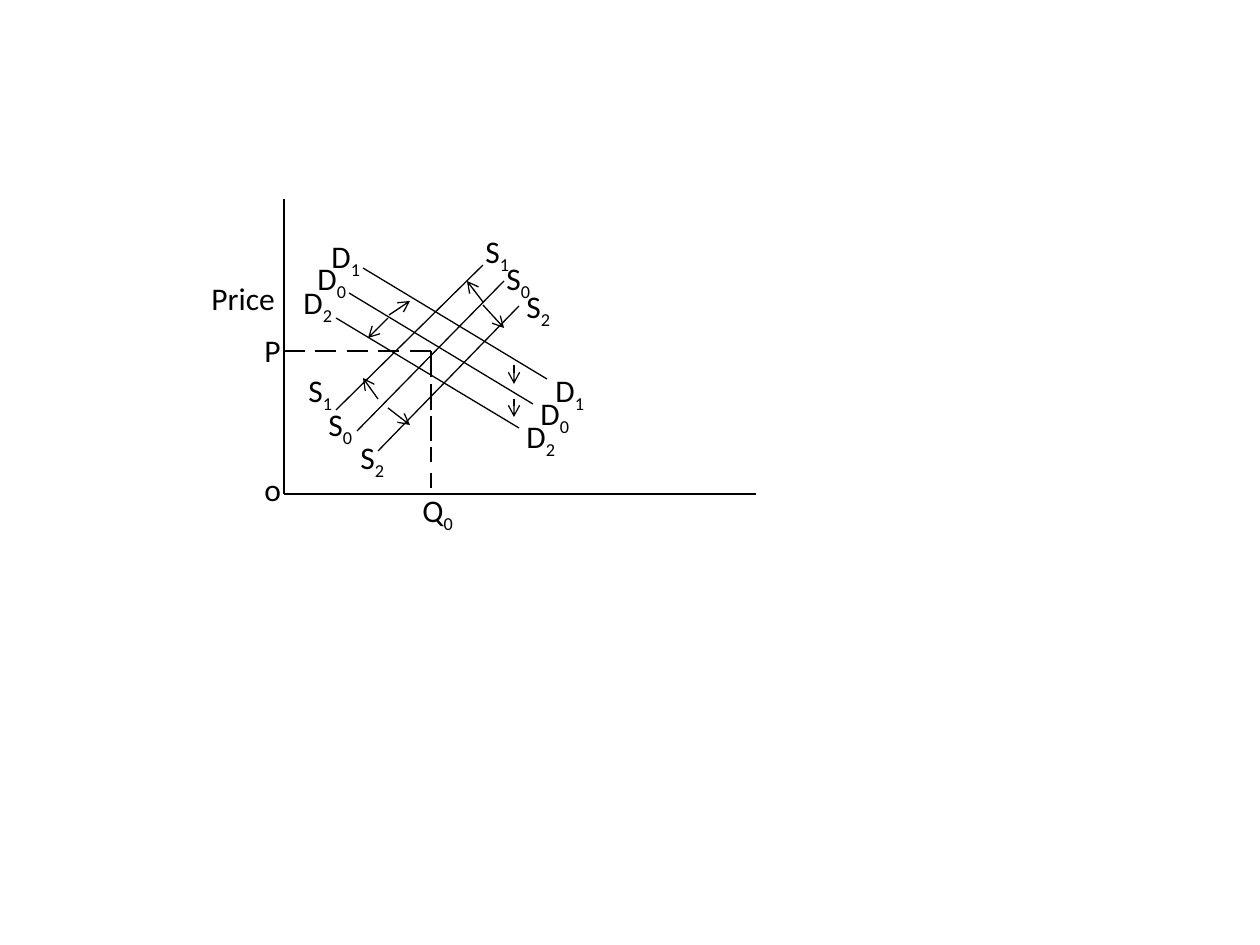
from pptx import Presentation
from pptx.dml.color import RGBColor
from pptx.enum.shapes import MSO_CONNECTOR
from pptx.enum.text import MSO_AUTO_SIZE
from pptx.oxml.ns import qn
from pptx.util import Pt
from lxml.etree import SubElement

PX = 914400 / 126
BLACK = RGBColor(0, 0, 0)


def px(value):
    return round(value * PX)


prs = Presentation()
prs.slide_width, prs.slide_height = px(1260), px(945)
slide = prs.slides.add_slide(prs.slide_layouts[6])


def add_label(text, x, y, width, subscript="", size=18, font="Calibri", color=BLACK):
    frame = slide.shapes.add_textbox(px(x), px(y), px(width), px(50)).text_frame
    frame.word_wrap = False
    frame.auto_size = MSO_AUTO_SIZE.SHAPE_TO_FIT_TEXT
    for part, baseline in ((text, 0), (subscript, -25000)):
        if part:
            run = frame.paragraphs[0].add_run()
            run.text = part
            run.font.size, run.font.name = Pt(size), font
            run.font.color.rgb = color
            if baseline:
                run.font._element.set("baseline", str(baseline))


# Every straight line: (x1, y1, x2, y2)
axes = [(284, 199, 284, 494), (284, 494, 756, 494)]
price_dashes = [(x, 351, x + 21, 351) for x in (284, 315, 347, 378, 410)]
quantity_dashes = [(431, top, 431, bottom) for top, bottom in
                   ((351, 377), (384, 410), (416, 441), (447, 462), (473, 488))]
demand_curves = [(336, 318, 519, 428), (349, 293, 533, 404), (363, 268, 547, 379)]
supply_curves = [(336, 410, 483, 265), (357, 431, 504, 281), (378, 451, 519, 306)]
shift_arrows = [
    (514, 365, 514, 384), (514, 399, 514, 417),  # right of the demand curves
    (483, 302, 467, 281), (483, 305, 504, 328),  # top of the supply curves
    (389, 315, 410, 301), (388, 318, 368, 338),  # left of the demand curves
    (378, 399, 363, 378), (388, 408, 410, 425),  # foot of the supply curves
]
plain_lines = axes + price_dashes + quantity_dashes + demand_curves + supply_curves
for ends in plain_lines + shift_arrows:
    line = slide.shapes.add_connector(MSO_CONNECTOR.STRAIGHT, *map(px, ends))
    line.line.color.rgb = BLACK
    line.line.width = Pt(0.75)
    if ends in shift_arrows:
        SubElement(line.line._get_or_add_ln(), qn("a:tailEnd"), type="arrow")
    SubElement(line._element.spPr, qn("a:effectLst"))

# Axis labels
add_label("Price", 199, 273, 97)
add_label("P", 252, 325, 42)
add_label("o", 252, 464, 43)
add_label("Q", 410, 485, 58, subscript="0")

# Curve labels, one at each end
curve_labels = [
    ("D", 55, [(319, 231), (305, 253), (291, 277)]),
    ("D", 55, [(543, 365), (528, 388), (514, 411)]),
    ("S", 50, [(473, 226), (494, 253), (514, 281)]),
    ("S", 50, [(296, 365), (316, 399), (348, 432)]),
]
for curve, width, places in curve_labels:
    for number, (x, y) in zip("102", places):
        add_label(curve, x, y, width, subscript=number)

prs.save("out.pptx")
